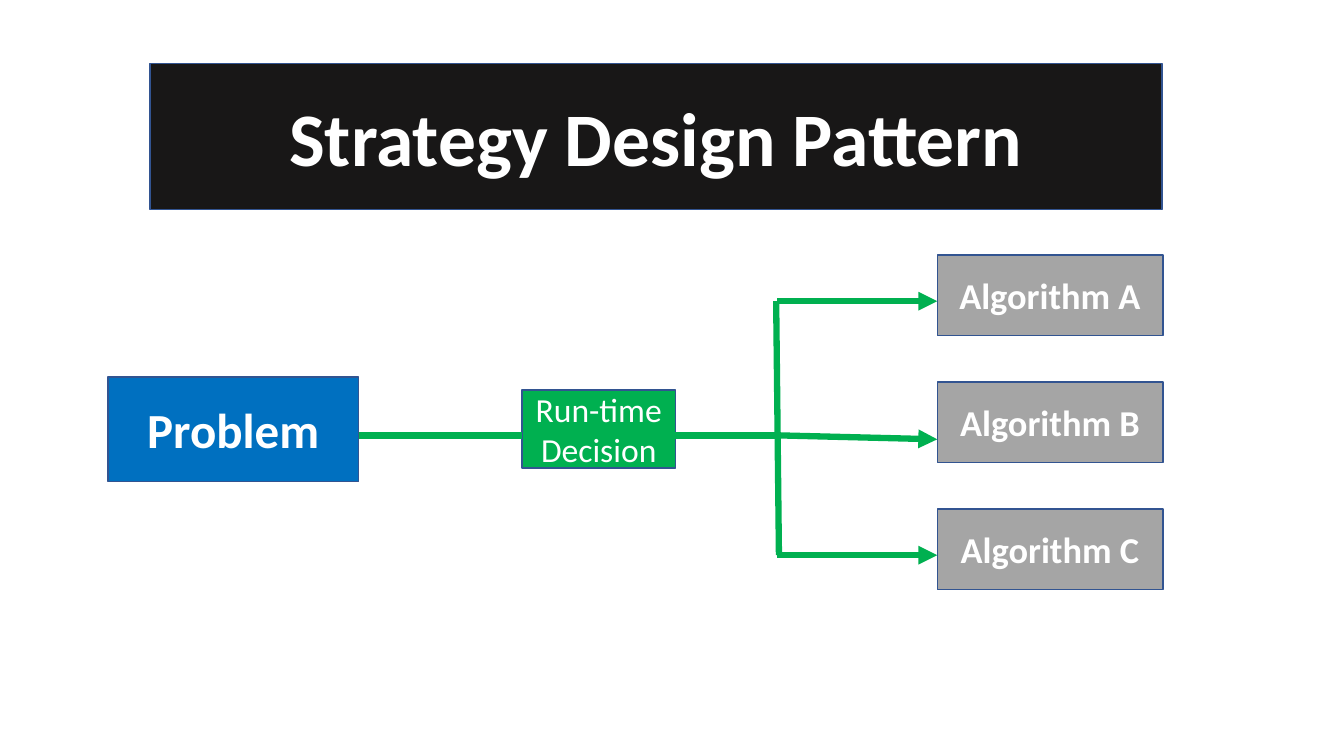
from pptx import Presentation
from pptx.dml.color import RGBColor
from pptx.enum.shapes import MSO_CONNECTOR, MSO_SHAPE
from pptx.enum.text import MSO_ANCHOR, MSO_AUTO_SIZE, PP_ALIGN
from pptx.oxml.ns import qn
from pptx.util import Cm, Pt
from lxml.etree import SubElement

COLORS = {
    "title": "181717",
    "problem": "0070C0",
    "decision": "00B050",
    "algorithm": "A5A5A5",
    "outline": "325491",
    "text": "FFFFFF",
}
FLOW_Y = 10.97  # height of the line from problem to branches


def color(role):
    """Return the colour for a role on the slide."""
    return RGBColor.from_string(COLORS[role])


def style_box(box, text, role, size, bold=True):
    """Fill and outline a box and set its centred text."""
    box.fill.solid()
    box.fill.fore_color.rgb = color(role)
    box.line.color.rgb = color("outline")
    box.line.width = Pt(1)
    frame = box.text_frame
    frame.text = text
    frame.word_wrap = True
    frame.auto_size = MSO_AUTO_SIZE.NONE
    frame.vertical_anchor = MSO_ANCHOR.MIDDLE
    for paragraph in frame.paragraphs:
        paragraph.alignment = PP_ALIGN.CENTER
        for run in paragraph.runs:
            run.font.name = "Calibri"
            run.font.size = Pt(size)
            run.font.bold = bold
            run.font.color.rgb = color("text")


def add_box(slide, left, top, width, height, *style):
    """Add a labelled rectangle, measured in centimetres."""
    box = slide.shapes.add_shape(
        MSO_SHAPE.RECTANGLE, Cm(left), Cm(top), Cm(width), Cm(height))
    box.shadow.inherit = False
    style_box(box, *style)


def add_line(slide, x1, y1, x2, y2, arrow=False):
    """Add a green line, with an arrowhead at its end if wanted."""
    link = slide.shapes.add_connector(
        MSO_CONNECTOR.STRAIGHT, Cm(x1), Cm(y1), Cm(x2), Cm(y2))
    link.line.color.rgb = color("decision")
    link.line.width = Pt(4.5)
    if arrow:
        SubElement(link.line._get_or_add_ln(), qn("a:tailEnd"), type="triangle")
    SubElement(link._element.spPr, qn("a:effectLst"))


def add_title(slide, left, top, width, height):
    """Place the heading in the title placeholder."""
    title = slide.shapes.title
    title.left, title.top = Cm(left), Cm(top)
    title.width, title.height = Cm(width), Cm(height)
    style_box(title, "Strategy Design Pattern", "title", 54)


def add_decision_flow(slide, left, top, width, height):
    """Draw the problem, the run-time decision and the lines after each."""
    problem_width, decision_width = 6.32, 3.86
    decision_left = left + 10.44
    add_box(slide, left, top, problem_width, height, "Problem", "problem", 35)
    add_box(slide, decision_left, top + 0.33, decision_width, 1.96,
            "Run-time\nDecision", "decision", 24, False)
    add_line(slide, left + problem_width, FLOW_Y, decision_left, FLOW_Y)
    add_line(slide, decision_left + decision_width, FLOW_Y, left + width, FLOW_Y)


def add_algorithms(slide, left, top, width, height):
    """Draw the trunk and an arrow to each evenly spaced algorithm."""
    card_width, card_height = 5.69, 2.03
    card_left = left + width - card_width
    names = ("A", "B", "C")
    pitch = (height - card_height) / (len(names) - 1)
    upper, lower = top + 1.16, top + 2 * pitch + 1.16
    starts = (upper, FLOW_Y, lower)
    ends = (upper, FLOW_Y + 0.1, lower)
    add_line(slide, left, upper, left + 0.07, lower)
    for index, (name, start, end) in enumerate(zip(names, starts, ends)):
        add_box(slide, card_left, top + index * pitch, card_width, card_height,
                f"Algorithm {name}", "algorithm", 26)
        add_line(slide, left + 0.03, start, card_left, end, arrow=True)


def main():
    """Build the slide and save it."""
    presentation = Presentation()
    presentation.slide_width, presentation.slide_height = Cm(33.87), Cm(19.05)
    slide = presentation.slides.add_slide(presentation.slide_layouts[5])
    add_title(slide, 3.78, 1.6, 25.5, 3.68)
    add_decision_flow(slide, 2.72, 9.5, 16.8, 2.64)
    add_algorithms(slide, 19.56, 6.43, 9.75, 8.43)
    presentation.save("out.pptx")


main()
